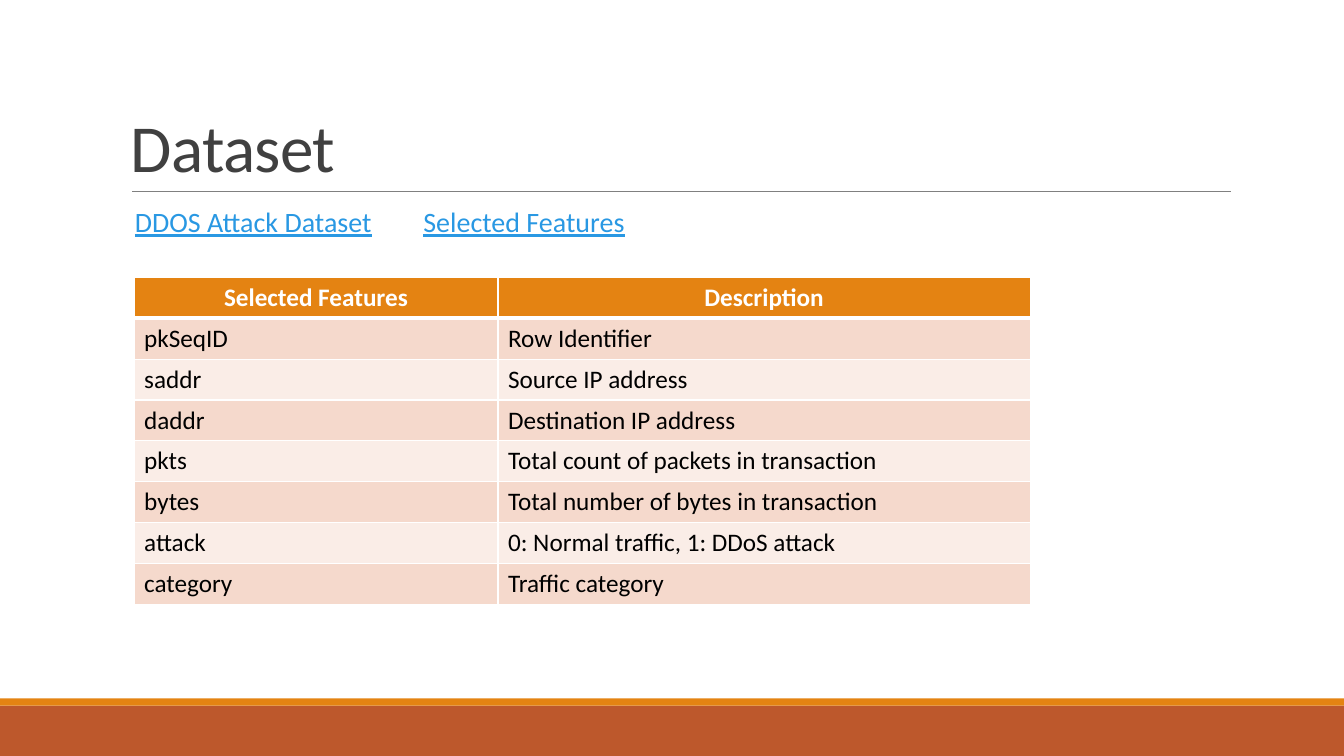
from lxml.etree import SubElement
from pptx import Presentation
from pptx.dml.color import RGBColor
from pptx.enum.shapes import MSO_CONNECTOR, MSO_SHAPE
from pptx.enum.text import MSO_ANCHOR, PP_ALIGN
from pptx.oxml.ns import qn
from pptx.util import Cm, Pt

WHITE = RGBColor(0xFF, 0xFF, 0xFF)
BLACK = RGBColor(0x00, 0x00, 0x00)
ORANGE = RGBColor(0xE4, 0x83, 0x12)
RUST = RGBColor(0xBD, 0x58, 0x2C)
GRAY = RGBColor(0x80, 0x80, 0x80)
TITLE_GRAY = RGBColor(0x40, 0x40, 0x40)
LINK_BLUE = RGBColor(0x29, 0x98, 0xE3)
BAND_DARK = RGBColor(0xF5, 0xD9, 0xCC)
BAND_LIGHT = RGBColor(0xFA, 0xED, 0xE7)

FEATURES = [
    ("Selected Features", "Description"),
    ("pkSeqID", "Row Identifier"),
    ("saddr", "Source IP address"),
    ("daddr", "Destination IP address"),
    ("pkts", "Total count of packets in transaction"),
    ("bytes", "Total number of bytes in transaction"),
    ("attack", "0: Normal traffic, 1: DDoS attack"),
    ("category", "Traffic category"),
]
COLUMN_WIDTHS = (Cm(9.17), Cm(13.41))
ROW_HEIGHT = Cm(1.03)


def style_span(span, size, color, bold=False, underline=False):
    span.font.name = "Calibri"
    span.font.size = Pt(size)
    span.font.color.rgb = color
    span.font.bold = bold
    span.font.underline = underline


def add_band(page, top, width, height, color):
    band = page.shapes.add_shape(MSO_SHAPE.RECTANGLE, 0, top, width, height)
    band.shadow.inherit = False
    band.fill.solid()
    band.fill.fore_color.rgb = color
    band.line.fill.background()


def add_rule(page, left, right, y):
    rule = page.shapes.add_connector(MSO_CONNECTOR.STRAIGHT, left, y, right, y)
    rule.line.color.rgb = GRAY
    rule.line.width = Pt(0.5)
    SubElement(rule._element.spPr, qn("a:effectLst"))


def add_box(page, top, height, anchor):
    box = page.shapes.add_textbox(Cm(3.05), top, Cm(27.94), height)
    box.text_frame.word_wrap = True
    box.text_frame.vertical_anchor = anchor
    return box


def add_title(page, text):
    box = add_box(page, Cm(0.79), Cm(4.04), MSO_ANCHOR.BOTTOM)
    para = box.text_frame.paragraphs[0]
    para.text = text
    para.line_spacing = 0.85
    span = para.runs[0]
    style_span(span, 48, TITLE_GRAY)
    span.font._element.set("spc", "-50")


def add_links(page, first, second):
    box = add_box(page, Cm(5.13), Cm(12.67), MSO_ANCHOR.TOP)
    box.text_frame.margin_left = box.text_frame.margin_right = 0
    para = box.text_frame.paragraphs[0]
    para.line_spacing = 0.9
    para.space_before = Pt(12)
    para.space_after = Pt(2)
    # Blank bullet with a hanging indent
    properties = para._p.get_or_add_pPr()
    properties.set("marL", str(Cm(0.25)))
    properties.set("indent", str(-Cm(0.25)))
    SubElement(properties, qn("a:buChar"), char=" ")
    for text, underline in ((first, True), ("\t\t", False), (second, True)):
        span = para.add_run()
        span.text = text
        style_span(span, 20, LINK_BLUE, underline=underline)


def add_borders(cell, is_header, is_below_header):
    properties = cell._tc.get_or_add_tcPr()
    for side in ("lnL", "lnR", "lnT", "lnB"):
        thick = (is_header and side == "lnB") or (is_below_header and side == "lnT")
        border = SubElement(properties, qn(f"a:{side}"), w=str(Pt(3 if thick else 1)))
        fill = SubElement(border, qn("a:solidFill"))
        SubElement(fill, qn("a:srgbClr"), val=str(WHITE))


def fill_cell(cell, text, row):
    is_header = row == 0
    add_borders(cell, is_header, row == 1)
    cell.fill.solid()
    cell.fill.fore_color.rgb = (
        ORANGE if is_header else BAND_DARK if row % 2 else BAND_LIGHT
    )
    cell.text_frame.text = text
    para = cell.text_frame.paragraphs[0]
    para.alignment = PP_ALIGN.CENTER if is_header else PP_ALIGN.LEFT
    style_span(para.runs[0], 18, WHITE if is_header else BLACK, bold=is_header)


def add_feature_table(page):
    table = page.shapes.add_table(
        len(FEATURES), len(COLUMN_WIDTHS), Cm(3.38), Cm(6.99),
        sum(COLUMN_WIDTHS), ROW_HEIGHT * len(FEATURES),
    ).table
    for column, width in zip(table.columns, COLUMN_WIDTHS):
        column.width = width
    for row, texts in enumerate(FEATURES):
        table.rows[row].height = ROW_HEIGHT
        for column, text in enumerate(texts):
            fill_cell(table.cell(row, column), text, row)


def main():
    deck = Presentation()
    deck.slide_width = Cm(33.87)
    deck.slide_height = Cm(19.05)
    page = deck.slides.add_slide(deck.slide_layouts[6])

    # Footer bands and title rule
    add_band(page, Cm(17.78), deck.slide_width, Cm(1.27), RUST)
    add_band(page, Cm(17.6), deck.slide_width, Cm(0.18), ORANGE)
    add_rule(page, Cm(3.33), Cm(31.01), Cm(4.83))

    # Heading, links and table
    add_title(page, "Dataset")
    add_links(page, "DDOS Attack Dataset", "Selected Features")
    add_feature_table(page)

    deck.save("out.pptx")


if __name__ == "__main__":
    main()
